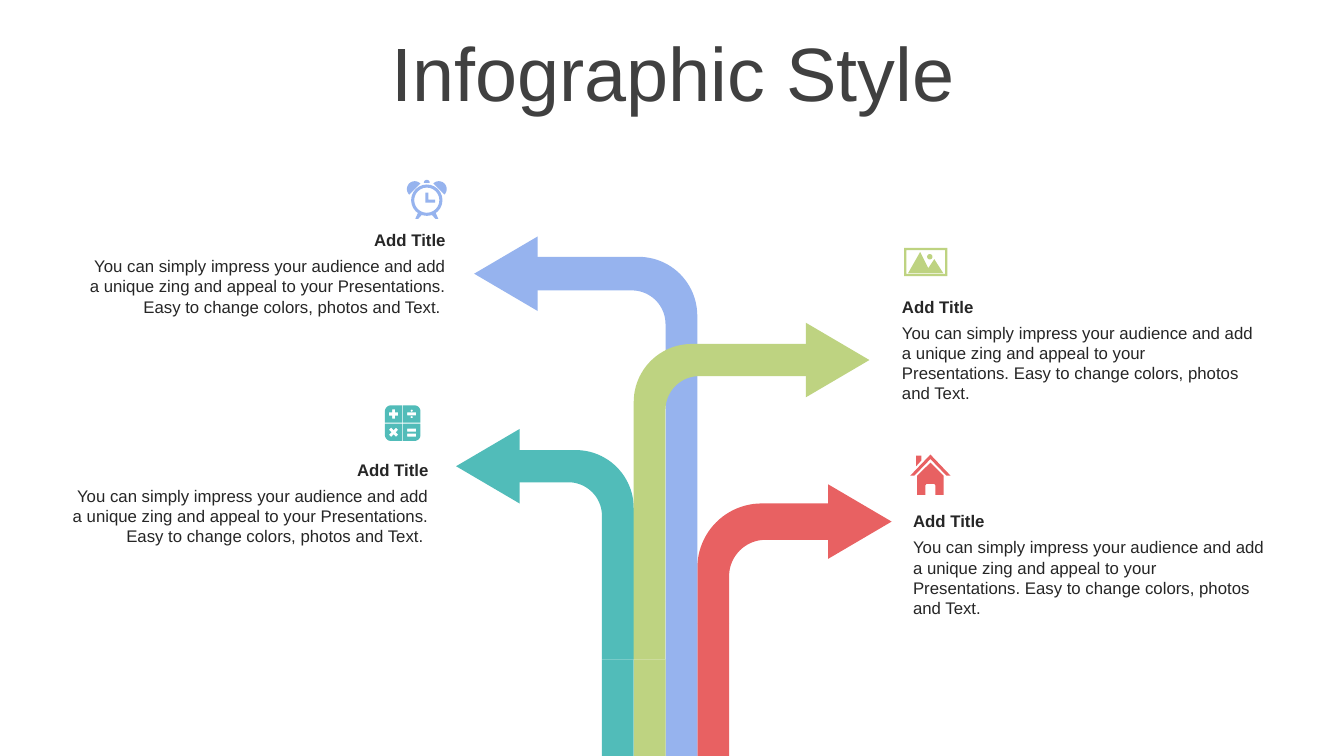
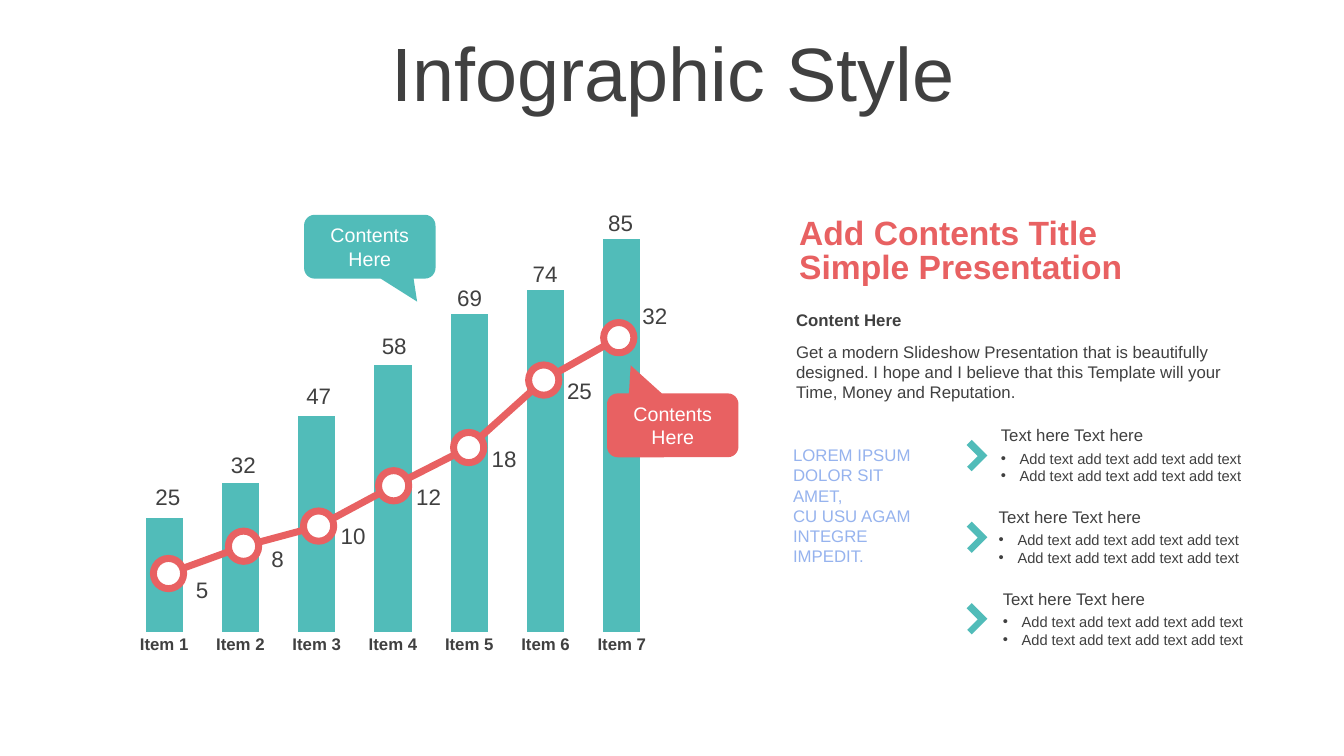
from itertools import pairwise
from math import cos, radians, sin

from lxml import etree
from pptx import Presentation
from pptx.chart.data import CategoryChartData
from pptx.dml.color import RGBColor
from pptx.enum.chart import XL_CHART_TYPE as CHART, XL_TICK_MARK as TICK
from pptx.enum.shapes import MSO_CONNECTOR as CONNECTOR, MSO_SHAPE as SHAPE
from pptx.enum.text import MSO_ANCHOR as ANCHOR, PP_ALIGN as ALIGN
from pptx.oxml import parse_xml
from pptx.oxml.ns import nsdecls, qn
from pptx.util import Pt

FONT = "Arial"
RED, TEAL, BLUE, GREEN = "E86162", "51BCB9", "96B3EE", "BED381"
WHITE, GRAY, DARK = "FFFFFF", "404040", "262626"
STEM_LEFT, STEM_WIDTH, SLIDE_HEIGHT = 430, 22.7, 540
HEAD_LENGTH, HEAD_SPREAD = 45.4, 53.3
BODY = ("You can simply impress your audience and add a unique zing and appeal "
        "to your Presentations. Easy to change colors, photos and Text.")


def rgb(color):
    return RGBColor.from_string(color)


def set_font(font, color, **values):
    for name, value in {"name": FONT, **values}.items():
        setattr(font, name, value)
    font.color.rgb = rgb(color)


def paint(shape, fill, line=None, width=0):
    shape.shadow.inherit = False
    shape.fill.solid()
    shape.fill.fore_color.rgb = rgb(fill)
    if line:
        shape.line.color.rgb = rgb(line)
        shape.line.width = Pt(width)
    else:
        shape.line.fill.background()
    return shape


def add_shape(slide, kind, box, fill, line=None, width=0):
    shape = slide.shapes.add_shape(kind, *map(Pt, box))
    return paint(shape, fill, line, width)


def add_bullet(paragraph):
    properties = paragraph._p.get_or_add_pPr()
    properties.set("marL", str(Pt(13.5)))
    properties.set("indent", str(Pt(-13.5)))
    etree.SubElement(properties, qn("a:buFont"), typeface=FONT)
    etree.SubElement(properties, qn("a:buChar"), char="•")


def write(frame, lines, size, color, bold=False, align=ALIGN.LEFT,
          anchor=ANCHOR.TOP, bullets=False, spacing=None):
    frame.word_wrap = True
    frame.vertical_anchor = anchor
    for index, line in enumerate(lines):
        paragraph = frame.add_paragraph() if index else frame.paragraphs[0]
        paragraph.alignment = align
        if spacing:
            paragraph.line_spacing = spacing
        if bullets:
            add_bullet(paragraph)
        run = paragraph.add_run()
        run.text = line
        set_font(run.font, color, size=Pt(size), bold=bold)


def add_text(slide, box, lines, size, color, **style):
    textbox = slide.shapes.add_textbox(*map(Pt, box))
    write(textbox.text_frame, lines, size, color, **style)


def add_title(slide):
    add_text(slide, (25.2, 26.6, 911.5, 56.9), ["Infographic Style"], 54, GRAY,
             align=ALIGN.CENTER, anchor=ANCHOR.MIDDLE, spacing=0.9)


def arc(x, y, radius, start, end, steps=24):
    """Points along a circle around (x, y); angles run clockwise from the right."""
    angles = [radians(start + (end - start) * i / steps) for i in range(steps + 1)]
    return [(x + radius * cos(a), y + radius * sin(a)) for a in angles]


def circle(x, y, radius):
    return arc(x, y, radius, 0, 360)


def rectangle(left, top, right, bottom):
    return [(left, top), (right, top), (right, bottom), (left, bottom)]


def plus(x, y, arm, half, angle=0):
    corners = [(-half, -arm), (half, -arm), (half, -half), (arm, -half),
               (arm, half), (half, half), (half, arm), (-half, arm),
               (-half, half), (-arm, half), (-arm, -half), (-half, -half)]
    c, s = cos(radians(angle)), sin(radians(angle))
    return [(x + u * c - v * s, y + u * s + v * c) for u, v in corners]


def mirror_x(points, width):
    return [(width - x, y) for x, y in points]


def mirror_y(points, height):
    return [(x, height - y) for x, y in points]


def add_outline(slide, left, top, contours, color):
    """Draw contours, given relative to (left, top), as one filled freeform."""
    builder = None
    for contour in contours:
        first, *rest = [(Pt(left + x), Pt(top + y)) for x, y in contour]
        if builder:
            builder.move_to(*first)
        else:
            builder = slide.shapes.build_freeform(*first)
        builder.add_line_segments(rest, close=True)
    paint(builder.convert_to_shape(), color)


def clock_icon():
    leg = [(7.6, 24), (10.3, 25.4), (7.9, 28.1), (5.8, 28.1)]
    bell = arc(5.4, 6.85, 5.6, 135, 315)
    hands = [(13, 9.4), (15.1, 9.4), (15.1, 14.4), (20, 14.4), (20, 16.6), (13, 16.6)]
    return [circle(14, 14.8, 11.2), circle(14, 14.8, 9), hands,
            arc(14, 2.4, 2.1, 180, 360), leg, mirror_x(leg, 28),
            bell, mirror_x(bell, 28)]


def calculator_icon():
    size = 25.4
    tile = arc(4.3, 4.3, 4.3, 180, 270) + [(12.4, 0), (12.4, 12.4), (0, 12.4)]
    lower = mirror_y(tile, size)
    bars = [rectangle(15.8, y, 22.3, y + 2.2) for y in (5, 16.6, 20.2)]
    dots = [circle(19.1, y, 0.8) for y in (3.8, 8.4)]
    return [tile, mirror_x(tile, size), lower, mirror_x(lower, size),
            plus(6.2, 6.2, 3.3, 1.1), plus(6.2, 19.2, 3.6, 1.1, 45), *bars, *dots]


def house_icon():
    door = arc(16.4, 22.5, 1.6, 360, 270) + arc(12.4, 22.5, 1.6, 270, 180)
    walls = [(14.4, 5.8), (23.8, 15.1), (23.8, 28.8), (18, 28.8), *door,
             (10.8, 28.8), (5, 28.8), (5, 15.1)]
    chimney = [(4.3, 0.7), (7.9, 0.7), (7.9, 4.3), (4.3, 8.3)]
    roof = [(14.4, 0), (28.8, 15.1), (25.9, 15.1), (14.4, 3.2), (2.9, 15.1), (0, 15.1)]
    return [walls, chimney, roof]


def photo_icon():
    mountains = [(11.5, 2.9), (17.3, 14.4), (21.6, 8), (28, 18), (2.9, 18)]
    return [rectangle(0, 0, 31, 20.2), rectangle(1.6, 1.6, 29.4, 18.6),
            circle(18.4, 6.3, 1.9), mountains]


def add_arrow(slide, column, head_x, head_y, thickness, joint, radii, color):
    """Stem in the given column, bent towards a head centred at (head_x, head_y)."""
    left = STEM_LEFT + column * STEM_WIDTH
    side = 1 if head_x > left else -1
    outer_x = left if side > 0 else left + STEM_WIDTH
    top = head_y - thickness / 2
    length = side * (head_x - outer_x) - 16
    outer, inner = radii
    bend = (arc(outer, outer, outer, 180, 270) + [(length, 0), (length, thickness)]
            + arc(STEM_WIDTH + inner, thickness + inner, inner, 270, 180)
            + [(STEM_WIDTH, joint - top), (0, joint - top)])
    add_outline(slide, outer_x, top, [[(side * x, y) for x, y in bend]], color)
    head = add_shape(slide, SHAPE.ISOSCELES_TRIANGLE,
                     (head_x - HEAD_SPREAD / 2, head_y - HEAD_LENGTH / 2,
                      HEAD_SPREAD, HEAD_LENGTH), color)
    head.rotation = 90 if side > 0 else 270
    add_shape(slide, SHAPE.RECTANGLE,
              (left, joint, STEM_WIDTH, SLIDE_HEIGHT - joint), color)


def add_caption(slide, left, top, width, body, align):
    add_text(slide, (left, top, width, 21.6), ["Add Title"], 12, DARK,
             bold=True, align=align)
    add_text(slide, (left, top + 18.7, width, 51), [body], 12, DARK, align=align)


def build_arrow_slide(slide):
    add_title(slide)
    for arrow in [(3, 614.2, 372.6, 26, 445, (46, 26), RED),
                  (0, 348.5, 333, 23, 471, (41.5, 24), TEAL),
                  (2, 361.4, 195.5, 24, 430, (42, 24), BLUE),
                  (1, 598.3, 257.2, 23, 471, (41.5, 24), GREEN)]:
        add_arrow(slide, *arrow)
    for left, top in [(637.2, 208.1), (645.1, 361.4)]:
        add_caption(slide, left, top, 267.8, BODY, ALIGN.LEFT)
    for left, top in [(54.7, 160.6), (42.5, 324.7)]:
        add_caption(slide, left, top, 270.7, BODY + " ", ALIGN.RIGHT)
    for left, top, contours, color in [(290.9, 128.2, clock_icon(), BLUE),
                                       (275, 289.6, calculator_icon(), TEAL),
                                       (650.2, 324.7, house_icon(), RED),
                                       (645.8, 177.1, photo_icon(), GREEN)]:
        add_outline(slide, left, top, contours, color)


def add_column_chart(slide):
    data = CategoryChartData()
    data.categories = [f"Item {number}" for number in range(1, 8)]
    data.add_series("Series 1", (29, 38, 55, 68, 81, 87, 100))
    box = map(Pt, (82.1, 147.6, 397.4, 330.5))
    chart = slide.shapes.add_chart(CHART.COLUMN_CLUSTERED, *box, data).chart
    chart.has_legend = chart.has_title = False
    set_font(chart.font, GRAY, size=Pt(18))
    plot = chart.plots[0]
    plot.gap_width = 105
    plot.vary_by_categories = False
    fill = plot.series[0].format.fill
    fill.solid()
    fill.fore_color.rgb = rgb(TEAL)
    values = chart.value_axis
    values.minimum_scale, values.maximum_scale = 0, 100
    values.has_major_gridlines = values.visible = False
    categories = chart.category_axis
    categories.major_tick_mark = TICK.NONE
    categories.format.line.fill.background()
    set_font(categories.tick_labels.font, GRAY, size=Pt(12), bold=True)
    set_plot_area(chart, x=0.02, y=0.07, w=0.96, h=0.85)


def set_plot_area(chart, **shares):
    plot_area = chart._chartSpace.find(".//" + qn("c:plotArea"))
    for old in plot_area.findall(qn("c:layout")):
        plot_area.remove(old)
    modes = '<c:layoutTarget val="inner"/><c:xMode val="edge"/><c:yMode val="edge"/>'
    sizes = "".join(f'<c:{key} val="{share}"/>' for key, share in shares.items())
    plot_area.insert(0, parse_xml(
        f'<c:layout {nsdecls("c")}><c:manualLayout>{modes}{sizes}'
        "</c:manualLayout></c:layout>"))


def add_trend(slide):
    heights = (409.7, 390.2, 375.8, 347, 319.7, 271.5, 241.2)
    points = [(120.4 + 53.6 * i, y) for i, y in enumerate(heights)]
    for start, end in pairwise(points):
        line = slide.shapes.add_connector(CONNECTOR.STRAIGHT, *map(Pt, start + end))
        line.line.color.rgb = rgb(RED)
        line.line.width = Pt(5)
        etree.SubElement(line._element.spPr, qn("a:effectLst"))
    for x, y in points:
        add_shape(slide, SHAPE.OVAL, (x - 10.8, y - 10.8, 21.6, 21.6), WHITE, RED, 5)


def add_value_labels(slide, left, width, labels):
    for index, (value, top) in enumerate(labels):
        add_text(slide, (left + 53.9 * index, top, width, 26.6), [str(value)],
                 16, GRAY, align=ALIGN.CENTER)


def add_callout(slide, left, top, tail, color):
    callout = add_shape(slide, SHAPE.ROUNDED_RECTANGULAR_CALLOUT,
                        (left, top, 93.9, 45.6), color)
    callout.adjustments[0], callout.adjustments[1] = tail
    write(callout.text_frame, ["Contents Here"], 14, WHITE,
          align=ALIGN.CENTER, anchor=ANCHOR.MIDDLE)


def add_chevron_item(slide, left, top):
    chevron = add_shape(slide, SHAPE.CORNER, (686.2, top + 17.3, 15.8, 15.8), TEAL)
    chevron.adjustments[0], chevron.adjustments[1] = 0.32, 0.29
    chevron.rotation = 225
    add_text(slide, (left, top, 202.3, 21.6), ["Text here Text here"], 12, GRAY)
    add_text(slide, (left, top + 17.3, 202.3, 32.4),
             ["Add text add text add text add text"] * 2, 10.5, GRAY, bullets=True)


def build_chart_slide(slide):
    add_title(slide)
    add_column_chart(slide)
    add_trend(slide)
    add_value_labels(slide, 90.7, 58.3, [
        (25, 341.3), (32, 319), (47, 269.3), (58, 234), (69, 199.4),
        (74, 182.2), (85, 146.2)])
    add_value_labels(slide, 124.6, 39.6, [
        (5, 408.2), (8, 385.7), (10, 369.4), (12, 341.3), (18, 314.6),
        (25, 265.7), (32, 212.4)])
    add_callout(slide, 217.2, 153.4, (0.36, 0.86), TEAL)
    add_callout(slide, 433.6, 281, (-0.32, -0.94), RED)
    for top, line in [(147.6, "Add Contents Title"), (172.1, "Simple Presentation")]:
        add_text(slide, (563.8, top, 313.9, 36), [line], 24, RED, bold=True)
    add_text(slide, (561.6, 217.4, 349.9, 21.6), ["Content Here"], 12, GRAY,
             bold=True, anchor=ANCHOR.MIDDLE)
    add_text(slide, (561.6, 240.5, 349.9, 51),
             ["Get a modern Slideshow Presentation that is beautifully designed. "
              "I hope and I believe that this Template will your Time, Money and "
              "Reputation."], 12, GRAY)
    add_text(slide, (559.4, 313.9, 101.5, 94.3),
             ["LOREM IPSUM DOLOR SIT AMET,", "CU USU AGAM INTEGRE IMPEDIT."],
             12, BLUE, anchor=ANCHOR.MIDDLE)
    for index, left in enumerate((707.8, 706.3, 709.2)):
        add_chevron_item(slide, left, 300.2 + 58.3 * index)


def main():
    presentation = Presentation()
    presentation.slide_width, presentation.slide_height = Pt(960), Pt(SLIDE_HEIGHT)
    blank = presentation.slide_layouts[6]
    for build in (build_arrow_slide, build_chart_slide):
        build(presentation.slides.add_slide(blank))
    presentation.save("out.pptx")


if __name__ == "__main__":
    main()
